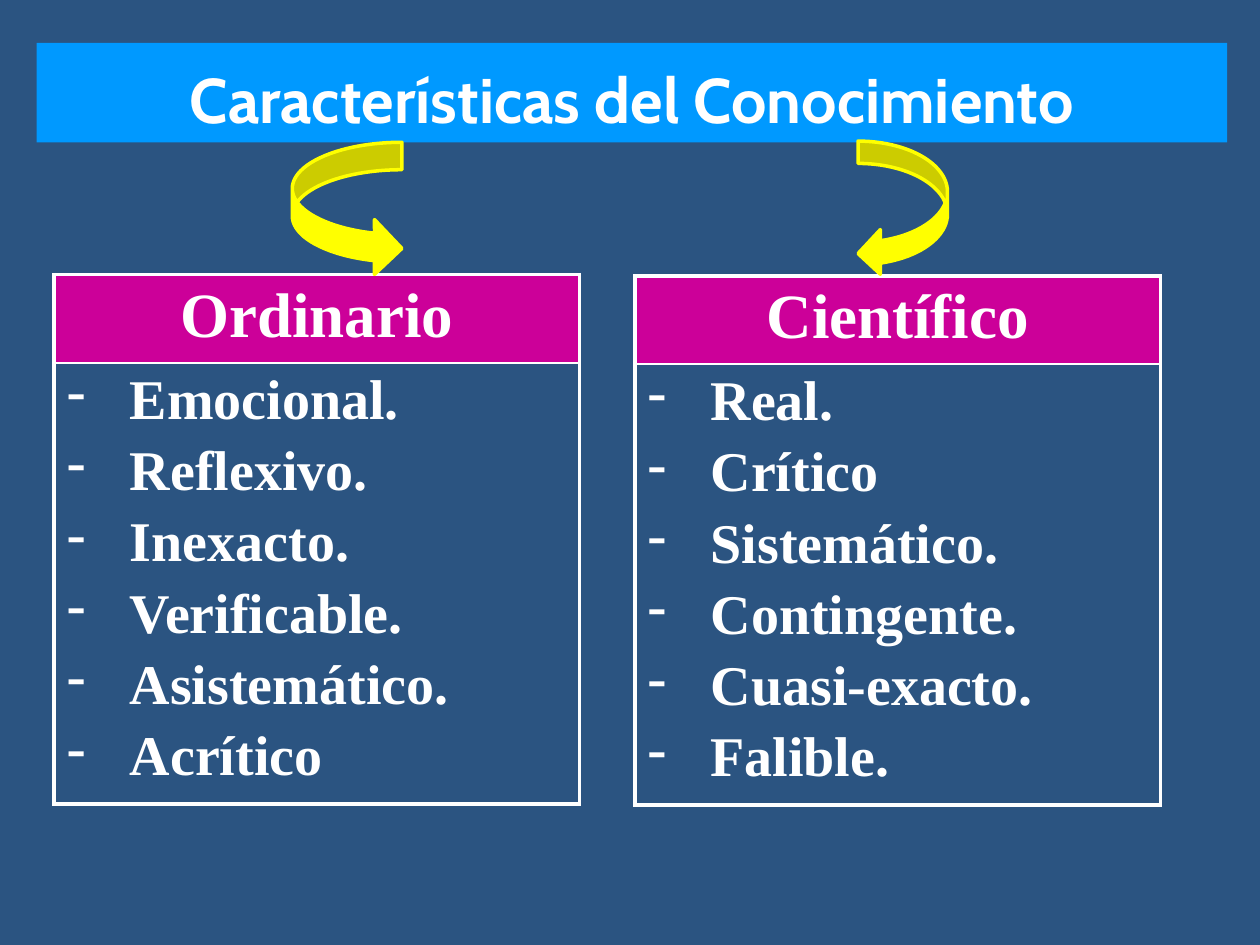
from lxml.etree import SubElement
from pptx import Presentation
from pptx.dml.color import RGBColor
from pptx.enum.shapes import MSO_SHAPE as SHAPE
from pptx.enum.text import MSO_ANCHOR as ANCHOR, PP_ALIGN as ALIGN
from pptx.oxml.ns import qn
from pptx.util import Inches, Pt

COLORS = {"background": "2B5481", "title": "0099FF", "header": "CC0099",
          "arrow": "FFFF00", "white": "FFFFFF"}
TITLE_FONT = "Cabin"
BODY_FONT = "Times New Roman"
COLUMN_WIDTH, HEADER_HEIGHT, LIST_HEIGHT = 4.17, 0.7, 3.5
COLUMNS = [
    (0.43, 2.18, "Ordinario",
     ["Emocional.", "Reflexivo.", "Inexacto.", "Verificable.",
      "Asistemático.", "Acrítico"]),
    (5.04, 2.19, "Científico",
     ["Real.", "Crítico", "Sistemático.", "Contingente.",
      "Cuasi-exacto.", "Falible."]),
]
ARROWS = [
    (SHAPE.CURVED_RIGHT_ARROW, (2.32, 1.13, 0.87, 1.06)),
    (SHAPE.CURVED_LEFT_ARROW, (6.81, 1.12, 0.71, 1.07)),
]


def rgb(name):
    return RGBColor.from_string(COLORS[name])


def write(p, text, size, font=BODY_FONT, align=ALIGN.CENTER):
    p.alignment = align
    r = p.add_run()
    r.text = text
    r.font.name = font
    r.font.size = Pt(size)
    r.font.bold = True
    r.font.color.rgb = rgb("white")


def add_bullet(p):
    pPr = p._p.get_or_add_pPr()
    pPr.set("marL", str(Inches(0.5)))
    pPr.set("indent", str(-Inches(0.5)))
    SubElement(pPr, qn("a:buChar"), char="-")


def set_borders(cell, left, right, top, bottom):
    """Draw the four white borders, with widths in points."""
    tcPr = cell._tc.get_or_add_tcPr()
    for side, width in zip("LRTB", (left, right, top, bottom)):
        ln = SubElement(tcPr, qn(f"a:ln{side}"), w=str(Pt(width)))
        fill = SubElement(ln, qn("a:solidFill"))
        SubElement(fill, qn("a:srgbClr"), val=COLORS["white"])


def add_shape(slide, kind, box, color):
    sp = slide.shapes.add_shape(kind, *map(Inches, box))
    sp.shadow.inherit = False
    sp.fill.solid()
    sp.fill.fore_color.rgb = rgb(color)
    return sp


def add_title(slide, box, text):
    sp = add_shape(slide, SHAPE.RECTANGLE, box, "title")
    sp.line.fill.background()
    tf = sp.text_frame
    tf.word_wrap = True
    tf.vertical_anchor = ANCHOR.BOTTOM
    write(tf.paragraphs[0], text, 36, font=TITLE_FONT)


def add_column(slide, left, top, heading, items):
    box = (left, top, COLUMN_WIDTH, HEADER_HEIGHT + LIST_HEIGHT)
    table = slide.shapes.add_table(2, 1, *map(Inches, box)).table
    table.first_row = table.horz_banding = False
    table.rows[0].height = Inches(HEADER_HEIGHT)
    table.rows[1].height = Inches(LIST_HEIGHT)

    header, body = table.cell(0, 0), table.cell(1, 0)
    set_borders(header, 2.25, 2.25, 2.25, 1)
    header.fill.solid()
    header.fill.fore_color.rgb = rgb("header")
    write(header.text_frame.paragraphs[0], heading, 36)

    set_borders(body, 2.25, 2.25, 1, 2.25)
    body.fill.background()
    tf = body.text_frame
    for i, item in enumerate(items):
        p = tf.add_paragraph() if i else tf.paragraphs[0]
        add_bullet(p)
        if i:
            p.space_before = Pt(5.2)
        write(p, item, 32, align=ALIGN.JUSTIFY)


def add_arrow(slide, kind, box):
    sp = add_shape(slide, kind, box, "arrow")
    sp.line.color.rgb = rgb("arrow")
    sp.line.width = Pt(2)


def main():
    prs = Presentation()
    prs.slide_width, prs.slide_height = Inches(10), Inches(7.5)
    slide = prs.slides.add_slide(prs.slide_layouts[6])
    slide.background.fill.solid()
    slide.background.fill.fore_color.rgb = rgb("background")

    add_title(slide, (0.29, 0.34, 9.45, 0.79), "Características del Conocimiento")
    for column in COLUMNS:
        add_column(slide, *column)
    for kind, box in ARROWS:
        add_arrow(slide, kind, box)
    prs.save("out.pptx")


if __name__ == "__main__":
    main()
